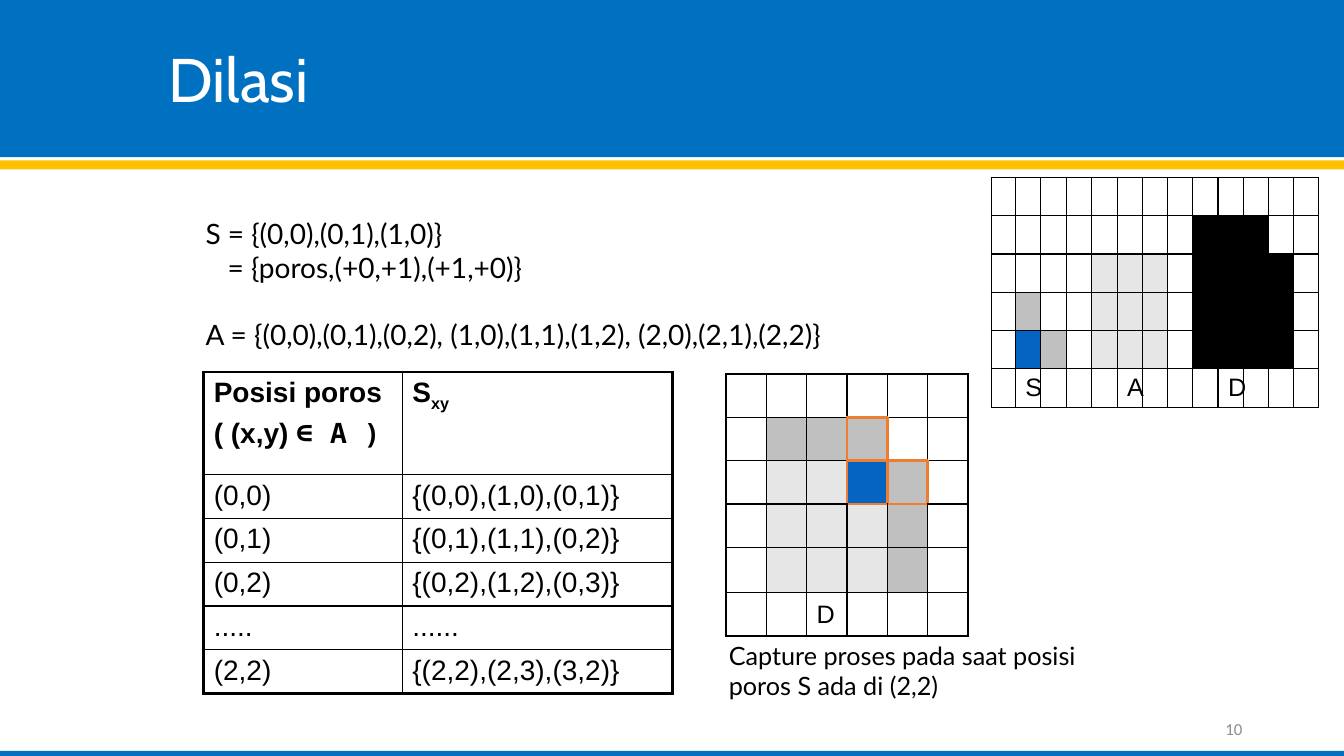
from lxml.etree import SubElement
from pptx import Presentation
from pptx.dml.color import RGBColor
from pptx.enum.shapes import MSO_SHAPE as Shape
from pptx.enum.text import MSO_ANCHOR as Anchor, PP_ALIGN as Align
from pptx.oxml.ns import qn
from pptx.util import Inches, Pt

BLACK, ORANGE, BLUE = "000000", "ED7D31", "0070C0"
CELL_FILLS = {"L": "E7E6E6", "G": "C0C0C0", "P": "0563C1", "K": BLACK}
SIDES = {"L": (0, -1), "R": (0, 1), "T": (-1, 0), "B": (1, 0)}
THIN, THICK = (BLACK, 1), (BLACK, 2.25)

OVERVIEW = [
    ".............",
    "........KKK..",
    "....LLL.KKKK.",
    ".G..LLL.KKKK.",
    ".PG.LLL.KKKK.",
    ".S...A...D...",
]
CAPTURE = [
    "......",
    ".GGG..",
    ".LLPG.",
    ".LLLG.",
    ".LLLG.",
    "..D...",
]
STRUCTURE = {(1, 3), (2, 3), (2, 4)}
POSITIONS = [
    ("(0,0)", "{(0,0),(1,0),(0,1)}"),
    ("(0,1)", "{(0,1),(1,1),(0,2)}"),
    ("(0,2)", "{(0,2),(1,2),(0,3)}"),
    (".....", "......"),
    ("(2,2)", "{(2,2),(2,3),(3,2)}"),
]


def color(value):
    return RGBColor.from_string(value)


class SlideBuilder:
    def __init__(self, slide):
        self.slide = slide

    def style(self, paragraph, size, font, fill=BLACK, bold=False):
        paragraph.font.size = Pt(size)
        paragraph.font.name = font
        paragraph.font.bold = bold
        paragraph.font.color.rgb = color(fill)

    def band(self, top, height, fill):
        shape = self.slide.shapes.add_shape(
            Shape.RECTANGLE, 0, Inches(top), Inches(13.33), Inches(height))
        shape.shadow.inherit = False
        shape.fill.solid()
        shape.fill.fore_color.rgb = color(fill)
        shape.line.fill.background()

    def text(self, box, lines, size, font, fill=BLACK, anchor=Anchor.TOP,
             align=Align.LEFT, wrap=True):
        shape = self.slide.shapes.add_textbox(*map(Inches, box))
        frame = shape.text_frame
        frame.word_wrap = wrap
        frame.vertical_anchor = anchor
        frame.text = "\n".join(lines)
        for paragraph in frame.paragraphs:
            paragraph.alignment = align
            self.style(paragraph, size, font, fill)
        return frame.paragraphs

    def table(self, left, top, widths, heights):
        frame = self.slide.shapes.add_table(
            len(heights), len(widths), Inches(left), Inches(top),
            Inches(sum(widths)), Inches(sum(heights)))
        table = frame.table
        table.first_row = table.horz_banding = False
        for column, width in zip(table.columns, widths):
            column.width = Inches(width)
        for row, height in zip(table.rows, heights):
            row.height = Inches(height)
        return table

    def cell(self, cell, borders, fill=None):
        properties = cell._tc.get_or_add_tcPr()
        for side, (stroke, width) in borders.items():
            line = SubElement(properties, qn(f"a:ln{side}"), w=str(Pt(width)))
            solid = SubElement(line, qn("a:solidFill"))
            SubElement(solid, qn("a:srgbClr"), val=stroke)
        if fill:
            cell.fill.solid()
            cell.fill.fore_color.rgb = color(fill)
        else:
            cell.fill.background()

    def pixel_grid(self, left, top, widths, heights, pattern, outlined=()):
        table = self.table(left, top, widths, heights)
        for row, marks in enumerate(pattern):
            for column, mark in enumerate(marks):
                cell = table.cell(row, column)
                cell.margin_top = cell.margin_bottom = Inches(0.03)
                cell.vertical_anchor = Anchor.MIDDLE
                borders = {}
                for side, (down, across) in SIDES.items():
                    touching = {(row, column), (row + down, column + across)}
                    edge = touching.intersection(outlined)
                    borders[side] = (ORANGE, 2.25) if edge else THIN
                self.cell(cell, borders, CELL_FILLS.get(mark))
                if mark != "." and mark not in CELL_FILLS:
                    cell.text = mark
                self.style(cell.text_frame.paragraphs[0], 18, "Arial")

    def position_table(self, left, top, widths, heights):
        table = self.table(left, top, widths, heights)
        last_row, last_column = len(heights) - 1, len(widths) - 1
        for row in range(len(heights)):
            for column in range(len(widths)):
                outer = {"L": column == 0, "R": column == last_column,
                         "T": row == 0, "B": row == last_row}
                borders = {side: THICK if edge else THIN
                           for side, edge in outer.items()}
                cell = table.cell(row, column)
                self.cell(cell, borders)
                if row:
                    cell.text = POSITIONS[row - 1][column]
                    self.style(cell.text_frame.paragraphs[0], 20, "Arial")
        self.position_header(table.cell(0, 0), table.cell(0, 1))

    def position_header(self, position, result):
        position.text = "Posisi poros"
        axis = position.text_frame.add_paragraph()
        axis.space_before = Pt(4)
        axis.add_run().text = "( (x,y) "
        member = axis.add_run()
        member.text = "∈ A )"
        result.text = "S"
        subscript = result.text_frame.paragraphs[0].add_run()
        subscript.text = "xy"
        for cell in (position, result):
            for paragraph in cell.text_frame.paragraphs:
                self.style(paragraph, 20, "Arial", bold=True)
        member.font.name = "Noto Sans Mono"
        subscript.font._element.set("baseline", "-25000")


def main():
    presentation = Presentation()
    presentation.slide_width = Inches(13.33)
    presentation.slide_height = Inches(7.5)
    builder = SlideBuilder(
        presentation.slides.add_slide(presentation.slide_layouts[6]))

    builder.band(0, 1.56, BLUE)
    builder.band(1.59, 0.09, "FFC000")
    builder.band(7.45, 0.05, BLUE)
    title = builder.text((1.57, 0.18, 11.27, 1.28), ["Dilasi"], 44, "Cabin",
                         "FFFFFF", Anchor.MIDDLE)
    title[0].line_spacing = 0.9

    builder.pixel_grid(9.83, 1.76, [0.24, 0.25, 0.26] + [0.25] * 10,
                       [0.38] * 6, OVERVIEW)
    builder.position_table(2.02, 3.69, [1.97, 2.68], [1.02] + [0.41] * 5)

    sets = builder.text((1.94, 2.1, 7.4, 1.43), [
        "S = {(0,0),(0,1),(1,0)}",
        "= {poros,(+0,+1),(+1,+0)}",
        "A = {(0,0),(0,1),(0,2), (1,0),(1,1),(1,2), (2,0),(2,1),(2,2)}",
    ], 20, "Lato")
    sets[1]._p.get_or_add_pPr().set("marL", str(Inches(0.22)))
    sets[2].space_before = Pt(24)

    builder.pixel_grid(7.2, 3.71, [0.4] * 6, [0.43] * 4 + [0.45, 0.43],
                       CAPTURE, STRUCTURE)
    builder.text((7.13, 6.3, 3.79, 0.7),
                 ["Capture proses pada saat posisi", "poros S ada di (2,2)"],
                 18, "Lato", wrap=False)
    builder.text((9.42, 7.03, 3, 0.4), ["10"], 12, "Calibri", "8C8C8C",
                 Anchor.MIDDLE, Align.RIGHT)
    presentation.save("out.pptx")


if __name__ == "__main__":
    main()
